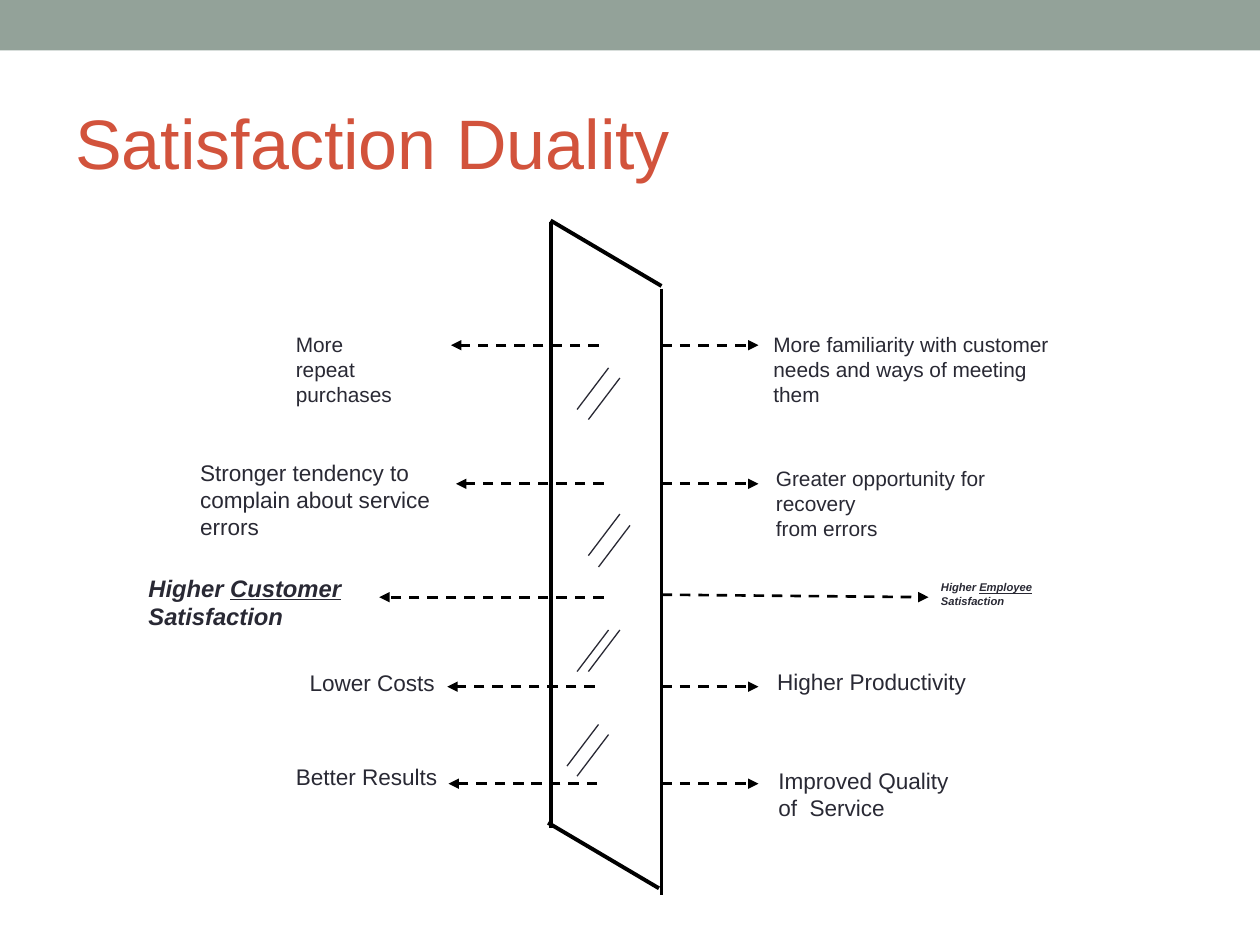
import pptx
import pptx.dml.color
import pptx.enum.dml
import pptx.enum.shapes
import pptx.enum.text
import pptx.oxml
import pptx.oxml.ns
import pptx.util

Inches = pptx.util.Inches
COLORS = {"band": "93A299", "title": "D2533C", "text": "292934", "frame": "000000"}
FONT = "Arial"

# Each label: left, top, width, height, size, paragraphs
LABELS = {
    "repeat": (2.25, 2.58, 1.37, 0.75, 11.9, ["More", "repeat", "purchases"]),
    "complain": (1.49, 3.59, 2.16, 0.75, 12.9,
                 ["Stronger tendency to complain about service errors"]),
    "costs": (2.36, 5.26, 1.25, 0.37, 12.9, ["Lower Costs"]),
    "results": (2.25, 6.01, 1.4, 0.37, 12.9, ["Better Results"]),
    "familiarity": (6.04, 2.58, 2.46, 0.75, 11.9,
                    ["More familiarity with customer needs and ways of meeting them"]),
    "recovery": (6.06, 3.65, 1.94, 0.72, 11.9,
                 ["Greater opportunity for recovery", "from errors"]),
    "productivity": (6.07, 5.25, 1.83, 0.37, 12.9, ["Higher Productivity"]),
    "quality": (6.08, 6.04, 1.75, 0.57, 12.9, ["Improved Quality", "of  Service"]),
}

# Mirror edges: start x, start y, end x, end y
MIRROR_EDGES = [
    (4.37, 1.76, 4.37, 6.57),
    (5.25, 2.29, 5.25, 7.1),
    (4.35, 6.53, 5.23, 7.05),
    (4.37, 1.75, 5.25, 2.27),
]
# Each row of arrows: height, start and end of the left arrow
ARROW_ROWS = [
    (2.74, 4.75, 3.58),
    (3.84, 4.79, 3.62),
    (5.45, 4.72, 3.55),
    (6.22, 4.74, 3.56),
]
RIGHT_ARROW = (5.25, 6.02)
# Upper right ends of the glass strokes
GLINTS = [(4.83, 2.92), (4.92, 3), (4.92, 4.08), (5, 4.17),
          (4.83, 5), (4.92, 5), (4.75, 5.75), (4.83, 5.83)]
GLINT_WIDTH, GLINT_HEIGHT = 0.25, 0.33


def rgb(name):
    return pptx.dml.color.RGBColor.from_string(COLORS[name])


def add_band(page):
    band = page.shapes.add_shape(pptx.enum.shapes.MSO_SHAPE.RECTANGLE,
                                 0, 0, Inches(10), Inches(0.4))
    band.shadow.inherit = False
    band.fill.solid()
    band.fill.fore_color.rgb = rgb("band")
    band.line.fill.background()


def add_text(page, left, top, width, height, size, paragraphs,
             color="text", emphasis=False, anchor="TOP"):
    """Paragraphs are strings, or lists of (text, underlined) runs."""
    box = page.shapes.add_textbox(Inches(left), Inches(top), Inches(width), Inches(height))
    frame = box.text_frame
    frame.word_wrap = True
    frame.vertical_anchor = getattr(pptx.enum.text.MSO_ANCHOR, anchor)
    for index, content in enumerate(paragraphs):
        para = frame.add_paragraph() if index else frame.paragraphs[0]
        runs = [(content, False)] if isinstance(content, str) else content
        for text, underlined in runs:
            span = para.add_run()
            span.text = text
            span.font.name = FONT
            span.font.size = pptx.util.Pt(size)
            span.font.color.rgb = rgb(color)
            span.font.bold = span.font.italic = emphasis
            span.font.underline = underlined
    return box


def add_line(page, x1, y1, x2, y2, color, width):
    line = page.shapes.add_connector(pptx.enum.shapes.MSO_CONNECTOR.STRAIGHT,
                                     Inches(x1), Inches(y1), Inches(x2), Inches(y2))
    line.line.color.rgb = rgb(color)
    line.line.width = pptx.util.Pt(width)
    pptx.oxml.ns.qn("a:effectLst")
    properties = line._element.spPr
    properties.append(pptx.oxml.parse_xml(
        "<a:effectLst %s/>" % pptx.oxml.ns.nsdecls("a")))
    return line


def add_arrow(page, x1, y1, x2, y2):
    arrow = add_line(page, x1, y1, x2, y2, "frame", 1.5)
    arrow.line.dash_style = pptx.enum.dml.MSO_LINE.DASH
    arrow.line._get_or_add_ln().append(pptx.oxml.parse_xml(
        '<a:tailEnd %s type="triangle"/>' % pptx.oxml.ns.nsdecls("a")))
    return arrow


def main():
    deck = pptx.Presentation()
    deck.slide_width, deck.slide_height = Inches(10), Inches(7.5)
    page = deck.slides.add_slide(deck.slide_layouts[6])

    # Band and title
    add_band(page)
    add_text(page, 0.5, 0.58, 9, 1.08, 40, ["Satisfaction Duality"],
             color="title", anchor="MIDDLE")

    # Labels on both sides of the mirror
    for label in LABELS.values():
        add_text(page, *label)
    add_text(page, 1.08, 4.5, 2.08, 0.58, 13.6,
             [[("Higher ", False), ("Customer", True), (" Satisfaction", False)]],
             emphasis=True)
    employee = add_text(page, 7.37, 4.56, 2.63, 0.36, 6.4,
                        [[("Higher ", False), ("Employee", True)], "Satisfaction"],
                        emphasis=True)

    # Mirror
    for edge in MIRROR_EDGES:
        add_line(page, *edge, "frame", 2.25)
    for x, y in GLINTS:
        add_line(page, x, y, x - GLINT_WIDTH, y + GLINT_HEIGHT, "text", 0.75)

    # Arrows
    for y, start, end in ARROW_ROWS:
        add_arrow(page, start, y, end, y)
        add_arrow(page, RIGHT_ARROW[0], y, RIGHT_ARROW[1], y)
    add_arrow(page, 4.79, 4.74, 3.01, 4.74)
    add_arrow(page, 5.25, 4.72, 7.37, 4.74).end_connect(employee, 1)

    deck.save("out.pptx")


if __name__ == "__main__":
    main()
